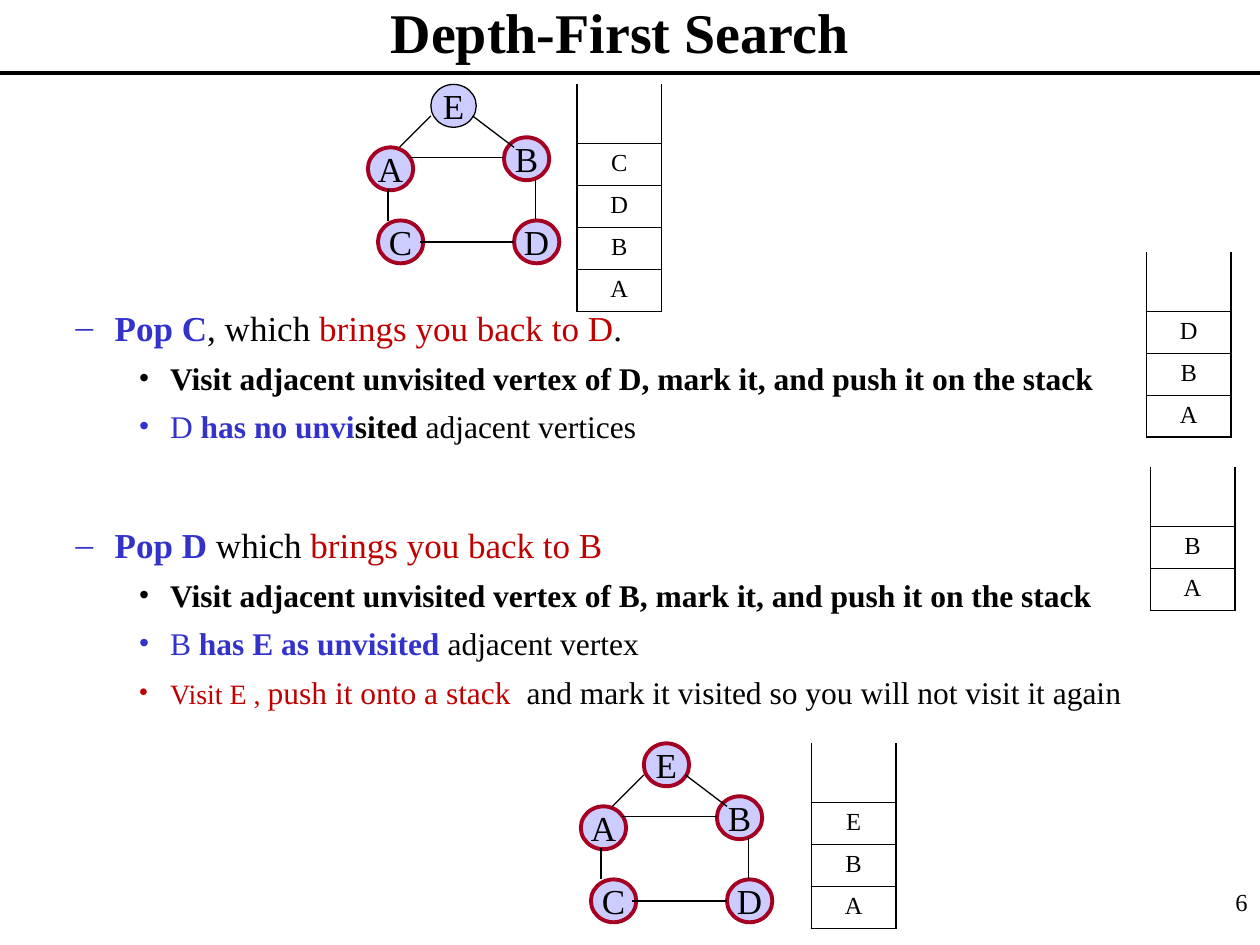
"""Build a slide that traces the stack of a depth-first search."""
from lxml.etree import SubElement
from pptx import Presentation
from pptx.dml.color import RGBColor
from pptx.enum.shapes import MSO_CONNECTOR, MSO_SHAPE
from pptx.enum.text import MSO_ANCHOR, MSO_AUTO_SIZE, PP_ALIGN
from pptx.oxml.ns import qn
from pptx.util import Inches, Pt

BLACK = RGBColor(0x00, 0x00, 0x00)
BLUE = RGBColor(0x33, 0x33, 0xCC)
RED = RGBColor(0xC0, 0x00, 0x00)
LAVENDER = RGBColor(0xCC, 0xCC, 0xFF)
CRIMSON = RGBColor(0xA5, 0x00, 0x21)
FONT = "Times New Roman"

TITLE = "Depth-First Search"
PAGE_NUMBER = "6"
STEPS = [
    (1, 0, [("Pop C", 20, BLUE, True), (", which ", 20, BLACK, False),
            ("brings you back to D", 20, RED, False), (".", 20, BLACK, False)]),
    (2, 6, [("Visit adjacent unvisited vertex of D, mark it, and push it on the stack",
             18, BLACK, True)]),
    (2, 6, [("D ", 18, BLUE, False), ("has no unvi", 18, BLUE, True),
            ("sited", 18, BLACK, True), (" adjacent vertices", 18, BLACK, False)]),
    (1, 45, [("Pop D ", 20, BLUE, True), ("which ", 20, BLACK, False),
             ("brings you back to B", 20, RED, False)]),
    (2, 6, [("Visit adjacent unvisited vertex of B, mark it, and push it on the stack",
             18, BLACK, True)]),
    (2, 6, [("B ", 18, BLUE, False), ("has E as unvisited ", 18, BLUE, True),
            ("adjacent vertex", 18, BLACK, False)]),
    (2, 6, [("Visit E , ", 16, RED, False), ("push it onto a stack", 18, RED, False),
            ("  and mark it visited so you will not visit it again", 18, BLACK, False)]),
]
LEVELS = {1: ("–", 0.81, -0.31), 2: ("•", 1.25, -0.25)}
VERTICES = {"A": (0, 0.5), "C": (0.08, 1.08), "D": (1.16, 1.08),
            "E": (0.5, 0), "B": (1.08, 0.42)}
EDGES = [((0.33, 0.58), (1.08, 0.58)), ((1.16, 1.25), (0.41, 1.25)),
         ((1.33, 0.75), (1.33, 1.08)), ((0.16, 0.83), (0.16, 1.08)),
         ((0.25, 0.5), (0.5, 0.25)), ((0.83, 0.25), (1.16, 0.5))]
GRAPHS = [(2.92, 0.67, "ABCD"), (4.61, 5.9, "ABCDE")]
STACKS = [(4.58, 0.67, "CDBA"), (9.1, 2, "DBA"), (9.13, 3.71, "BA"), (6.44, 5.9, "EBA")]
CELL_WIDTH, CELL_HEIGHT = 0.67, 1 / 3


def add_span(para, text, size, color=BLACK, bold=False):
    span = para.add_run()
    span.text = text
    span.font.name, span.font.size, span.font.bold = FONT, Pt(size), bold
    span.font.color.rgb = color


def place(box, left, top, width, height):
    box.left, box.top = Inches(left), Inches(top)
    box.width, box.height = Inches(width), Inches(height)


def add_line(page, start, end, weight):
    line = page.shapes.add_connector(
        MSO_CONNECTOR.STRAIGHT, *(Inches(value) for value in (*start, *end)))
    line.line.color.rgb, line.line.width = BLACK, Pt(weight)
    SubElement(line._element.spPr, qn("a:effectLst"))


def add_steps(page):
    body = page.placeholders[1]
    place(body, 0, 2.38, 9.28, 4.92)
    frame = body.text_frame
    frame.auto_size, frame.vertical_anchor = MSO_AUTO_SIZE.NONE, MSO_ANCHOR.TOP
    for index, (level, before, spans) in enumerate(STEPS):
        para = frame.paragraphs[0] if index == 0 else frame.add_paragraph()
        bullet, margin, indent = LEVELS[level]
        para.level, para.space_before = level, Pt(before)
        properties = para._p.get_or_add_pPr()
        properties.set("marL", str(Inches(margin)))
        properties.set("indent", str(Inches(indent)))
        color = SubElement(properties, qn("a:buClr"))
        SubElement(color, qn("a:srgbClr"), val=str(spans[0][2]))
        SubElement(properties, qn("a:buFont"), typeface=FONT)
        SubElement(properties, qn("a:buChar"), char=bullet)
        for span in spans:
            add_span(para, *span)


def add_graph(page, left, top, visited):
    for name, (x, y) in VERTICES.items():
        vertex = page.shapes.add_shape(MSO_SHAPE.OVAL, Inches(left + x), Inches(top + y),
                                       Inches(0.36), Inches(0.34))
        vertex.shadow.inherit = False
        vertex.fill.solid()
        vertex.fill.fore_color.rgb = LAVENDER
        vertex.line.color.rgb = CRIMSON if name in visited else BLACK
        vertex.line.width = Pt(2.25 if name in visited else 0.75)
        frame = vertex.text_frame
        frame.word_wrap, frame.vertical_anchor = False, MSO_ANCHOR.MIDDLE
        frame.paragraphs[0].alignment = PP_ALIGN.CENTER
        add_span(frame.paragraphs[0], name, 20)
    for edge in EDGES:
        start, end = ((left + x, top + y) for x, y in edge)
        add_line(page, start, end, 0.75)


def set_borders(cell, widths):
    properties = cell._tc.get_or_add_tcPr()
    for side, width in widths.items():
        border = SubElement(properties, qn(f"a:ln{side}"), w=str(Pt(width)))
        if width:
            fill = SubElement(border, qn("a:solidFill"))
            SubElement(fill, qn("a:srgbClr"), val=str(BLACK))
        else:
            SubElement(border, qn("a:noFill"))


def add_stack(page, left, top, names):
    count = len(names) + 1
    table = page.shapes.add_table(count, 1, Inches(left), Inches(top), Inches(CELL_WIDTH),
                                  Inches(CELL_HEIGHT * count)).table
    table.first_row = table.horz_banding = False
    for index, name in enumerate(["", *names]):
        cell = table.cell(index, 0)
        set_borders(cell, {"L": 1.08, "R": 1.08, "T": 0.45 if index else 0,
                           "B": 0.45 if index < count - 1 else 1.08})
        cell.fill.background()
        para = cell.text_frame.paragraphs[0]
        if name:
            para.alignment, para.space_before = PP_ALIGN.CENTER, Pt(3.5)
            add_span(para, name, 14)
        else:
            ending = SubElement(para._p, qn("a:endParaRPr"), sz="2400")
            SubElement(ending, qn("a:latin"), typeface=FONT)


def main():
    deck = Presentation()
    deck.slide_width, deck.slide_height = Inches(10), Inches(7.5)
    page = deck.slides.add_slide(deck.slide_layouts[1])
    title = page.shapes.title
    place(title, 0.67, 0, 8.5, 0.5)
    title.text_frame.auto_size = MSO_AUTO_SIZE.NONE
    title.text_frame.vertical_anchor = MSO_ANCHOR.MIDDLE
    title.text_frame.paragraphs[0].alignment = PP_ALIGN.CENTER
    add_span(title.text_frame.paragraphs[0], TITLE, 32, bold=True)
    add_steps(page)
    for graph in GRAPHS:
        add_graph(page, *graph)
    for stack in STACKS:
        add_stack(page, *stack)
    add_line(page, (0, 0.58), (10, 0.58), 2.25)
    number = page.shapes.add_textbox(Inches(9.13), Inches(6.99), Inches(0.87), Inches(0.5))
    number.text_frame.word_wrap = True
    number.text_frame.paragraphs[0].alignment = PP_ALIGN.RIGHT
    add_span(number.text_frame.paragraphs[0], PAGE_NUMBER, 14)
    deck.save("out.pptx")


if __name__ == "__main__":
    main()
